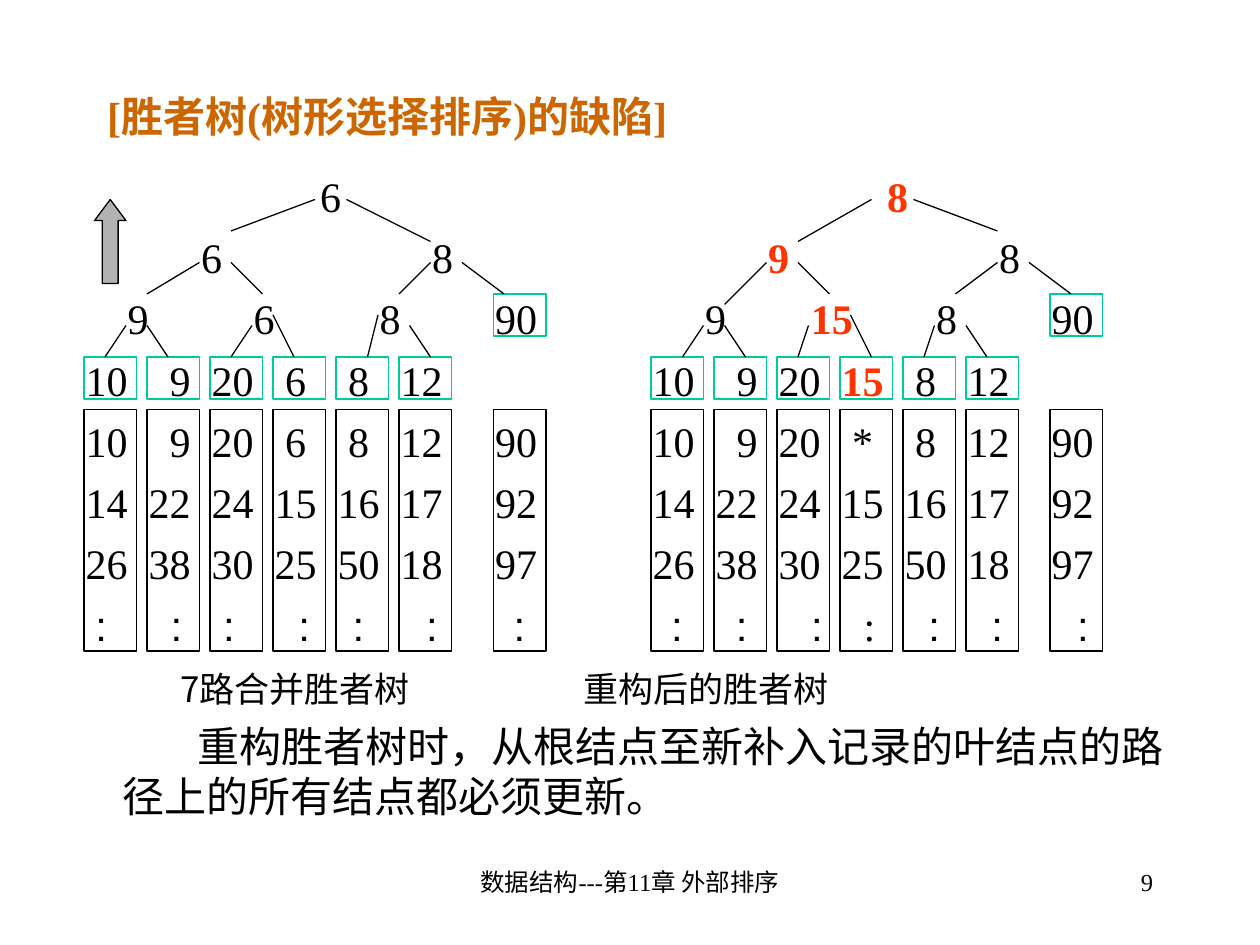
from itertools import groupby
from typing import NamedTuple

from lxml import etree
from pptx import Presentation
from pptx.dml.color import RGBColor
from pptx.enum import shapes, text
from pptx.oxml import ns
from pptx.util import Pt

BLACK = RGBColor(0x00, 0x00, 0x00)
ORANGE = RGBColor(0xCC, 0x66, 0x00)
RED = RGBColor(0xFF, 0x33, 0x00)
GREEN = RGBColor(0x00, 0xCC, 0x99)
GRAY = RGBColor(0xB2, 0xB2, 0xB2)
SERIF, SANS, CJK = "Times New Roman", "Arial", "Noto Sans CJK SC"

BODY_LEFT, INSET = 36, 7.2
TEXT_LEFT = BODY_LEFT + INSET
COLUMN_WIDTH = 30
LEFT_COLUMNS = [48 + 36 * i for i in range(6)] + [282]
RIGHT_COLUMNS = [372 + 36 * i for i in range(6)] + [600]
COLUMNS = LEFT_COLUMNS + RIGHT_COLUMNS
CENTERS = [left + 13 for left in COLUMNS]
NINE_SHIFT = 6  # the single digit 9 is right-aligned in its column


class Mark(NamedTuple):
    text: str
    x: float
    changed: bool = False
    font: str | None = None


class Edge(NamedTuple):
    x1: float
    y1: float
    x2: float
    y2: float


LEFT_EDGES = [
    Edge(60, 204, 72, 186), Edge(96, 204, 84, 186), Edge(144, 186, 132, 204),
    Edge(156, 180, 168, 204), Edge(216, 180, 210, 204), Edge(234, 186, 246, 204),
    Edge(84, 168, 114, 150), Edge(132, 150, 150, 168), Edge(246, 150, 228, 168),
    Edge(264, 150, 288, 168), Edge(180, 114, 132, 132), Edge(198, 114, 246, 138),
]
RIGHT_EDGES = [
    Edge(390, 204, 402, 186), Edge(414, 186, 426, 204), Edge(462, 186, 456, 204),
    Edge(486, 180, 498, 204), Edge(534, 186, 528, 204), Edge(552, 186, 564, 204),
    Edge(438, 150, 414, 174), Edge(456, 150, 474, 168), Edge(570, 150, 546, 168),
    Edge(588, 150, 612, 168), Edge(498, 114, 456, 138), Edge(522, 114, 570, 132),
]


def column_marks(values: str, changed: str = "") -> list[Mark]:
    """Place one value per column; "-" leaves a column empty."""
    return [
        Mark(value, x + NINE_SHIFT * (value == "9"), value == changed and i >= 7)
        for i, (value, x) in enumerate(zip(values.split(), CENTERS))
        if value != "-"
    ]


DOT_XS = [58, 101, 131, 174, 205, 247, 297, 387, 424, 467, 497, 534, 570, 619]
TREE_ROWS = [
    [Mark("6", 189), Mark("8", 513, True)],
    [Mark("6", 121), Mark("8", 253), Mark("9", 445, True), Mark("8", 577)],
    [Mark("9", 79), Mark("6", 151), Mark("8", 223), Mark("90", 295),
     Mark("9", 409), Mark("15", 475.5, True), Mark("8", 541), Mark("90", 613)],
    column_marks("10 9 20 6 8 12 - 10 9 20 15 8 12 -", changed="15"),
    column_marks("10 9 20 6 8 12 90 10 9 20 * 8 12 90"),
    column_marks("14 22 24 15 16 17 92 14 22 24 15 16 17 92"),
    column_marks("26 38 30 25 50 18 97 26 38 30 25 50 18 97"),
    [Mark(":", x, font=SERIF if i == 10 else None) for i, x in enumerate(DOT_XS)],
]
CAPTIONS = [Mark("7路合并胜者树", 103), Mark("重构后的胜者树", 333.5)]
REMARK = "重构胜者树时，从根结点至新补入记录的叶结点的路径上的所有结点都必须更新。"


def set_font(para, size: float, name: str = SERIF, color: RGBColor = BLACK) -> None:
    para.font.size = Pt(size)
    para.font.name = name
    para.font.color.rgb = color


def write_marks(para, marks: list[Mark], align: str, size: float, name: str) -> None:
    """Write marks as tabbed text, with one tab stop under each mark."""
    tabs = etree.SubElement(para._p.get_or_add_pPr(), ns.qn("a:tabLst"))
    for mark in marks:
        etree.SubElement(tabs, ns.qn("a:tab"), pos=str(Pt(mark.x - TEXT_LEFT)), algn=align)
    set_font(para, size, name)
    for (changed, font), group in groupby(marks, lambda mark: (mark.changed, mark.font)):
        span = para.add_run()
        span.text = "".join("\t" + mark.text for mark in group)
        if changed:
            span.font.bold = True
            span.font.color.rgb = RED
        if font:
            span.font.name = font


def add_body(slide) -> None:
    box = slide.shapes.add_textbox(Pt(BODY_LEFT), Pt(90), Pt(642), Pt(390))
    frame = box.text_frame
    frame.word_wrap = True
    frame.margin_top = Pt(7.2)

    def next_para(space: float):
        first = not frame.paragraphs[0].runs
        para = frame.paragraphs[0] if first else frame.add_paragraph()
        para.line_spacing = Pt(29)
        para.space_before = Pt(0 if first else space)
        return para

    for row in TREE_ROWS:
        name = SANS if row is TREE_ROWS[-1] else SERIF
        write_marks(next_para(6), row, "ctr", 24, name)
    write_marks(next_para(5), CAPTIONS, "l", 20, CJK)
    para = next_para(6)
    properties = para._p.get_or_add_pPr()
    properties.set("marL", str(Pt(27)))
    properties.set("indent", str(Pt(43)))
    set_font(para, 24)
    para.add_run().text = REMARK


def add_footer(slide, words: str, left: float, width: float, align) -> None:
    box = slide.shapes.add_textbox(Pt(left), Pt(492), Pt(width), Pt(36))
    box.text_frame.word_wrap = True
    para = box.text_frame.paragraphs[0]
    para.alignment = align
    set_font(para, 14)
    para.add_run().text = words


def add_outline(slide, left: float, top: float, width: float, height: float,
                color: RGBColor = BLACK, kind=shapes.MSO_SHAPE.RECTANGLE):
    shape = slide.shapes.add_shape(kind, Pt(left), Pt(top), Pt(width), Pt(height))
    shape.shadow.inherit = False
    shape.fill.background()
    shape.line.color.rgb = color
    shape.line.width = Pt(0.75)
    return shape


def add_edge(slide, edge: Edge) -> None:
    line = slide.shapes.add_connector(
        shapes.MSO_CONNECTOR.STRAIGHT, *(Pt(value) for value in edge))
    line.line.color.rgb = BLACK
    line.line.width = Pt(0.75)
    etree.SubElement(line._element.spPr, ns.qn("a:effectLst"))


def main() -> None:
    deck = Presentation()
    deck.slide_width, deck.slide_height = Pt(720), Pt(540)
    slide = deck.slides.add_slide(deck.slide_layouts[5])

    title = slide.shapes.title
    title.left, title.top, title.width, title.height = Pt(54), Pt(48), Pt(612), Pt(36)
    title.text_frame.vertical_anchor = text.MSO_ANCHOR.MIDDLE
    title.text_frame.text = "[胜者树(树形选择排序)的缺陷]"
    para = title.text_frame.paragraphs[0]
    para.alignment = text.PP_ALIGN.LEFT
    set_font(para, 24, color=ORANGE)
    para.font.bold = True

    add_footer(slide, "数据结构---第11章 外部排序", 246, 228, text.PP_ALIGN.CENTER)
    add_footer(slide, "9", 516, 150, text.PP_ALIGN.RIGHT)
    add_body(slide)

    for left in COLUMNS:
        add_outline(slide, left, 234, COLUMN_WIDTH, 138)
    for columns in (LEFT_COLUMNS, RIGHT_COLUMNS):
        for left in columns:
            top = 168 if left == columns[-1] else 204
            add_outline(slide, left, top, COLUMN_WIDTH, 24, GREEN)
    for edge in LEFT_EDGES + RIGHT_EDGES:
        add_edge(slide, edge)

    arrow = add_outline(slide, 54, 114, 18, 48, kind=shapes.MSO_SHAPE.UP_ARROW)
    arrow.adjustments[0], arrow.adjustments[1] = 0.5, 0.67
    arrow.fill.solid()
    arrow.fill.fore_color.rgb = GRAY
    deck.save("out.pptx")


if __name__ == "__main__":
    main()
